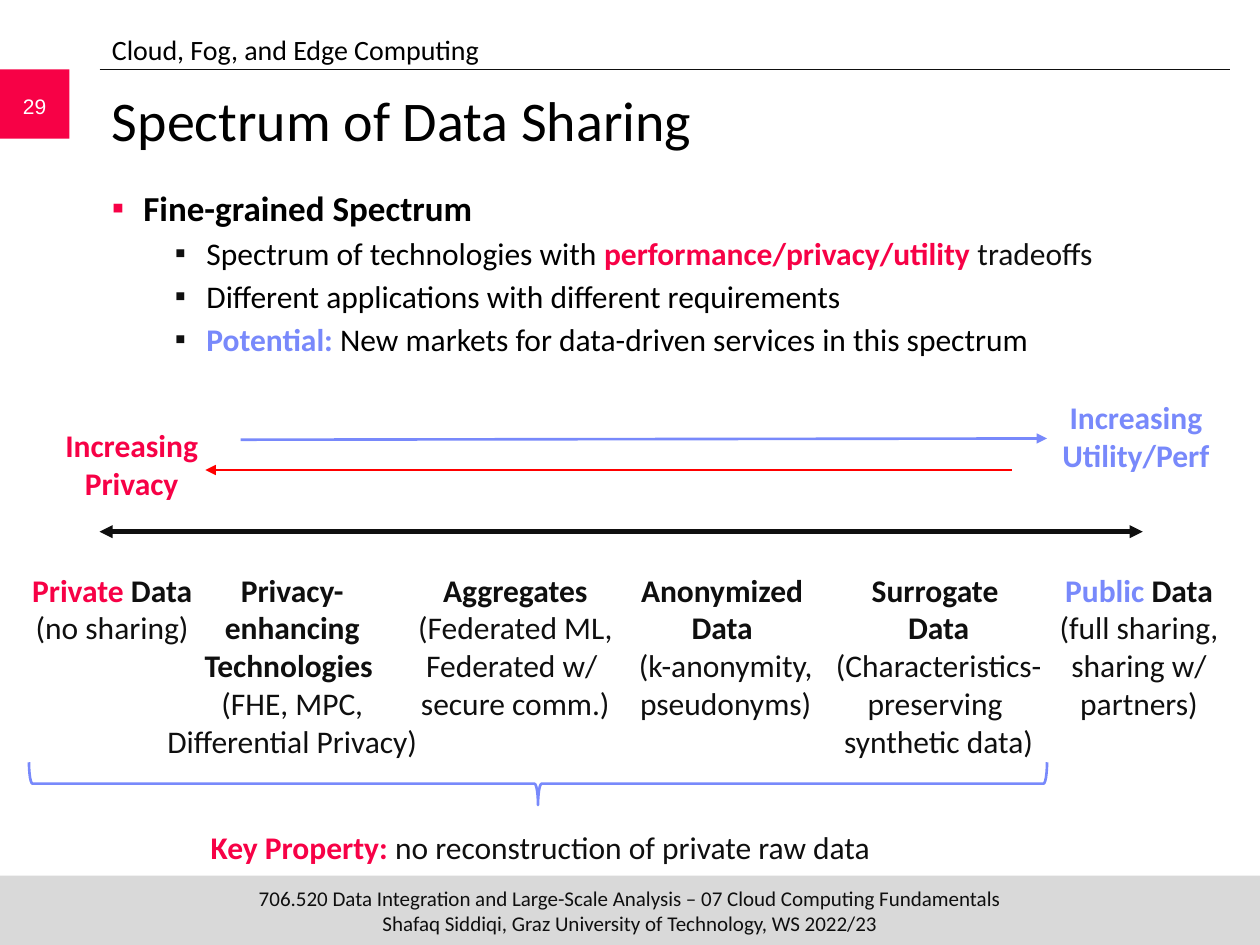
from dataclasses import dataclass

from lxml.etree import SubElement
from pptx import Presentation
from pptx.dml.color import RGBColor
from pptx.enum.shapes import MSO_CONNECTOR as Connector
from pptx.enum.shapes import MSO_SHAPE as Shape
from pptx.enum.text import MSO_ANCHOR as Anchor
from pptx.enum.text import PP_ALIGN as Align
from pptx.oxml.ns import qn
from pptx.util import Inches, Pt

BLACK, INK, WHITE = "000000", "0F0F0F", "FFFFFF"
RED, BLUE, GREY, ARROW_RED = "F70146", "7889FB", "D9D9D9", "FF0000"


def colour(value):
    return RGBColor.from_string(value)


@dataclass
class SlideBuilder:
    """Draws styled elements on the current slide."""

    slide: object
    font: str = "Calibri"
    size: float = 18

    def block(self, kind, box, fill=None, line=None, rotation=0):
        shape = self.slide.shapes.add_shape(kind, *map(Inches, box))
        shape.shadow.inherit = False
        shape.rotation = rotation
        if fill:
            shape.fill.solid()
            shape.fill.fore_color.rgb = colour(fill)
        else:
            shape.fill.background()
        if line:
            shape.line.color.rgb = colour(line)
            shape.line.width = Pt(1.5)
        else:
            shape.line.fill.background()

    def arrow(self, start, end, line, width, ends=("tailEnd",)):
        connector = self.slide.shapes.add_connector(
            Connector.STRAIGHT, *map(Inches, start + end))
        connector.line.color.rgb = colour(line)
        connector.line.width = Pt(width)
        outline = connector._element.spPr.find(qn("a:ln"))
        for name in ends:
            SubElement(outline, qn(f"a:{name}"), type="triangle")
        SubElement(connector._element.spPr, qn("a:effectLst"))

    def text_box(self, box, side=0.1, edge=0.05, anchor=Anchor.TOP):
        frame = self.slide.shapes.add_textbox(*map(Inches, box)).text_frame
        frame.word_wrap = True
        frame.vertical_anchor = anchor
        frame.margin_left = frame.margin_right = Inches(side)
        frame.margin_top = frame.margin_bottom = Inches(edge)
        return frame

    def add_runs(self, paragraph, runs, size=None, font=None, align=Align.LEFT):
        paragraph.alignment = align
        for text, run_colour, bold in runs:
            for index, line in enumerate(text.split("\n")):
                if index:
                    paragraph.add_line_break()
                if line:
                    run = paragraph.add_run()
                    run.text = line
                    run.font.name = font or self.font
                    run.font.size = Pt(size or self.size)
                    run.font.bold = bold
                    run.font.color.rgb = colour(run_colour)

    def heading(self, box, text, size):
        frame = self.text_box(box)
        self.add_runs(frame.paragraphs[0], [(text, BLACK, False)], size)

    def label(self, box, runs):
        frame = self.text_box(box, side=0)
        self.add_runs(frame.paragraphs[0], runs, align=Align.CENTER)

    def bullets(self, box, items):
        frame = self.text_box(box)
        for index, (level, size, runs) in enumerate(items):
            paragraph = frame.add_paragraph() if index else frame.paragraphs[0]
            paragraph.level = level
            properties = paragraph._p.get_or_add_pPr()
            properties.set("marL", str(Inches(0.25 + 0.5 * level)))
            properties.set("indent", str(Inches(-0.25)))
            bullet_colour = SubElement(properties, qn("a:buClr"))
            SubElement(bullet_colour, qn("a:srgbClr"), val=INK if level else RED)
            SubElement(properties, qn("a:buFont"), typeface="Arial")
            SubElement(properties, qn("a:buChar"), char="▪")
            if index:
                paragraph.space_before = Pt(3)
            self.add_runs(paragraph, runs, size)

    def footer(self, box, lines):
        self.block(Shape.RECTANGLE, box, GREY)
        frame = self.text_box(box, 0, 0, Anchor.MIDDLE)
        for index, line in enumerate(lines):
            paragraph = frame.add_paragraph() if index else frame.paragraphs[0]
            self.add_runs(paragraph, [(line, INK, False)], 12, align=Align.CENTER)

    def page_number(self, number):
        self.block(Shape.RECTANGLE, (0, 0.55, 0.55, 0.55), RED)
        frame = self.text_box((0, 0.64, 0.55, 0.4), anchor=Anchor.MIDDLE)
        self.add_runs(frame.paragraphs[0], [(number, WHITE, False)], 12, "Arial",
                      Align.CENTER)


def main():
    presentation = Presentation()
    presentation.slide_width, presentation.slide_height = Inches(10), Inches(7.5)
    builder = SlideBuilder(
        presentation.slides.add_slide(presentation.slide_layouts[6]))

    builder.footer((0, 6.95, 10, 0.55), [
        "706.520 Data Integration and Large-Scale Analysis – "
        "07 Cloud Computing Fundamentals",
        "Shafaq Siddiqi, Graz University of Technology, WS 2022/23",
    ])
    builder.arrow((0.79, 0.55), (9.76, 0.55), INK, 0.5, ends=())
    builder.page_number("29")
    builder.heading((0.79, 0.63, 8.96, 0.83), "Spectrum of Data Sharing", 32)
    builder.heading((0.79, 0.21, 9, 0.36), "Cloud, Fog, and Edge Computing", 16)
    builder.bullets((0.79, 1.43, 8.96, 1.6), [
        (0, 20, [("Fine-grained Spectrum", BLACK, True)]),
        (1, 18, [("Spectrum of technologies with ", BLACK, False),
                 ("performance/privacy/utility", RED, True),
                 (" tradeoffs", INK, False)]),
        (1, 18, [("Different applications with different requirements",
                  BLACK, False)]),
        (1, 18, [("Potential: ", BLUE, True),
                 ("New markets for data-driven services in this spectrum",
                  BLACK, False)]),
    ])

    builder.arrow((0.79, 4.22), (9.07, 4.22), INK, 2.5, ("headEnd", "tailEnd"))
    builder.arrow((1.91, 3.49), (8.31, 3.48), BLUE, 1.5)
    builder.arrow((8.03, 3.73), (1.63, 3.73), ARROW_RED, 1.5)
    builder.label((0.45, 3.33, 1.19, 0.71), [("Increasing Privacy", RED, True)])
    builder.label((8.42, 3.11, 1.19, 0.71),
                  [("Increasing Utility/Perf", BLUE, True)])

    categories = [
        (0.23, 1.32, 0.71, [("Private", RED, True), (" Data ", INK, True)],
         "(no sharing)"),
        (1.27, 2.1, 1.62,
         [("Privacy-\nenhancing Technologies \n", INK, True)],
         "(FHE, MPC, Differential Privacy)"),
        (3.04, 2.1, 1.31, [("Aggregates ", INK, True)],
         "(Federated ML, Federated w/ \nsecure comm.)"),
        (4.71, 2.1, 1.31, [("Anonymized \nData \n", INK, True)],
         "(k-anonymity, pseudonyms)"),
        (6.4, 2.1, 1.62, [("Surrogate \nData ", INK, True)],
         "(Characteristics-preserving \nsynthetic data)"),
        (8.38, 1.32, 1.31, [("Public", BLUE, True), (" Data ", INK, True)],
         "(full sharing, sharing w/ partners)"),
    ]
    for left, width, height, name, detail in categories:
        builder.label((left, 4.48, width, height), name + [(detail, INK, False)])

    builder.block(Shape.RIGHT_BRACE, (4.1, 2.18, 0.34, 8.08), line=BLUE,
                  rotation=90)
    builder.label((0.86, 6.52, 6.86, 0.4), [
        ("Key Property: ", RED, True),
        ("no reconstruction of private raw data", INK, False),
    ])
    presentation.save("out.pptx")


if __name__ == "__main__":
    main()
